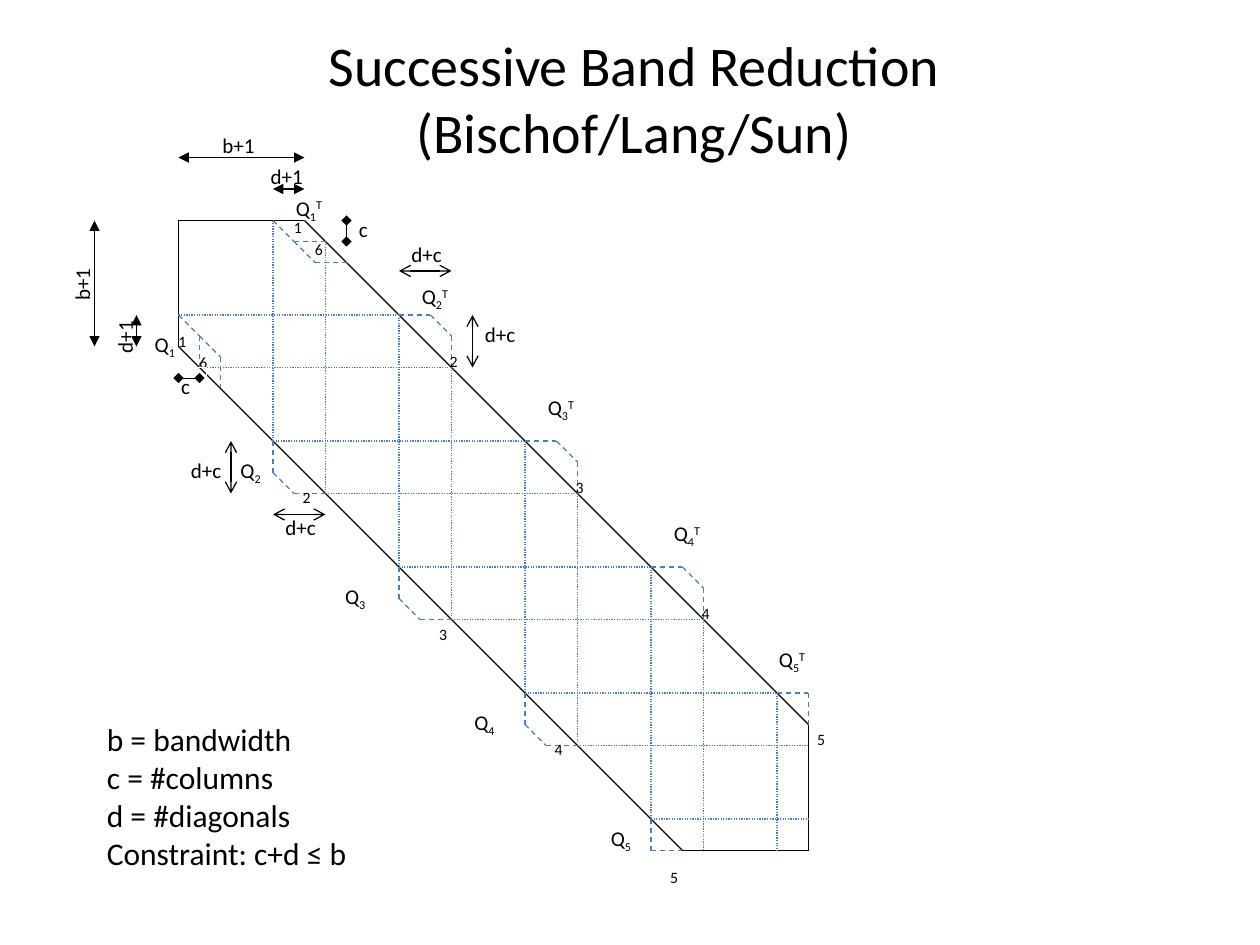
from lxml.etree import SubElement
from pptx import Presentation
from pptx.dml.color import RGBColor
from pptx.enum.dml import MSO_LINE
from pptx.enum.shapes import MSO_CONNECTOR
from pptx.enum.text import MSO_AUTO_SIZE, PP_ALIGN
from pptx.oxml.ns import qn
from pptx.util import Inches, Pt

BLACK = RGBColor(0x00, 0x00, 0x00)
WHITE = RGBColor(0xFF, 0xFF, 0xFF)
BLUE = RGBColor(0x4B, 0x7E, 0xBC)

# The grid has 12 cells to the inch; (0, 0) is the top left of the matrix
CELL = 1 / 12
LEFT, TOP = 17, 21
SIZE = 60            # matrix order
BAND = 12            # b + 1
DIAGS = 3            # d + 1
COLS = 2             # c
STEP = DIAGS + COLS  # d + c, in cells
KEEP = BAND - DIAGS

deck = Presentation()
deck.slide_width, deck.slide_height = Inches(10), Inches(7.5)
page = deck.slides.add_slide(deck.slide_layouts[6])


def draw_path(points, color=BLACK, dash=None, width=0.75, ends=None):
    """Join grid points with straight lines."""
    for (col, row), (next_col, next_row) in zip(points, points[1:]):
        line = page.shapes.add_connector(
            MSO_CONNECTOR.STRAIGHT,
            Inches((LEFT + col) * CELL), Inches((TOP + row) * CELL),
            Inches((LEFT + next_col) * CELL), Inches((TOP + next_row) * CELL))
        line.line.color.rgb = color
        line.line.width = Pt(width)
        if dash:
            line.line.dash_style = dash
        if ends:
            outline = line.line._get_or_add_ln()
            for tag in ("a:headEnd", "a:tailEnd"):
                SubElement(outline, qn(tag), type=ends)
        SubElement(line._element.spPr, qn("a:effectLst"))


def write(text, col, row, cols, rows=3.6, size=12, sub="", sup="",
          wrap=False, align=None, turn=0, border=None):
    """Put a text box on the grid, one paragraph for each line of text."""
    box = page.shapes.add_textbox(
        Inches((LEFT + col) * CELL), Inches((TOP + row) * CELL),
        Inches(cols * CELL), Inches(rows * CELL))
    box.rotation = turn
    if border:
        box.line.color.rgb = border
        box.line.width = Pt(0.75)
    frame = box.text_frame
    frame.word_wrap = wrap
    frame.auto_size = MSO_AUTO_SIZE.SHAPE_TO_FIT_TEXT
    for index, words in enumerate(text.split("\n")):
        para = frame.paragraphs[0] if index == 0 else frame.add_paragraph()
        para.alignment = align
        for part, baseline in ((words, None), (sub, "-25000"), (sup, "30000")):
            if not part:
                continue
            span = para.add_run()
            span.text = part
            span.font.name = "Calibri"
            span.font.size = Pt(size)
            span.font.color.rgb = BLACK
            if baseline:
                span._r.get_or_add_rPr().set("baseline", baseline)


# Outline of the band
draw_path([(0, 0), (BAND, 0), (SIZE, SIZE - BAND), (SIZE, SIZE),
           (SIZE - BAND, SIZE), (0, BAND), (0, 0)])

# Dotted edges of the blocks, as (position, start, end)
edges = []
for k in range(5):
    shift = BAND * k
    edges.append((shift + KEEP, max(0, shift - DIAGS), min(SIZE, shift + 21)))
    if k < 4:
        edges.append((shift + KEEP + STEP, shift + COLS, min(SIZE, shift + 26)))
for place, start, end in edges:
    draw_path([(start, place), (end, place)], BLUE, MSO_LINE.ROUND_DOT)
    draw_path([(place, start), (place, end)], BLUE, MSO_LINE.ROUND_DOT)

# Dashed bulges above the band, mirrored below it
bulges = [[(9, 0), (11, 2), (14, 2)], [(11, 2), (13, 4), (16, 4)],
          [(57, 45), (60, 45), (60, 48)]]
for k in range(1, 4):
    col, row = BAND * k + KEEP, BAND * k - DIAGS
    bulges.append([(col, row), (col + DIAGS, row),
                   (col + STEP, row + COLS), (col + STEP, row + STEP)])
for bulge in bulges:
    draw_path(bulge, BLUE, MSO_LINE.DASH)
    draw_path([(row, col) for col, row in bulge], BLUE, MSO_LINE.DASH)

# Step numbers
for text, col, row in (("1", 11, -0.84), ("1", 0, 10),
                       ("6", 2, 12), ("6", 13, 1.2)):
    write(text, col, row, 1, 3, size=9, wrap=True)
for k, (col, row) in enumerate(((11, 24.84), (24, 37.92),
                                (35, 48.84), (46, 61.08)), start=1):
    write(str(k + 1), col, row, 2, 3, size=9, wrap=True)
    write(str(k + 1), min(SIZE, BAND * k + 13), BAND * k - 0.12, 2, 3,
          size=9, wrap=True)

# Transformations: left factor, then transposed right factor
factors = (((-3.44, 10), (10, -3)), ((4.72, 22), (22, 5.4)),
           ((14.68, 34), (34, 16)), ((27, 46), (46, 28)),
           ((40, 57), (56, 40)))
for number, (lower, upper) in enumerate(factors, start=1):
    write("Q", *lower, 4.8, sub=str(number))
    write("Q", *upper, 5.64, sub=str(number), sup="T")

# Dimension labels
for text, col, row, turn in (("b+1", 3, -9, 0), ("b+1", -12.2, 4, 270),
                             ("d+1", 7.6, -6, 0), ("d+1", -8.12, 9, 270),
                             ("d+c", 21, 1.4, 0), ("d+c", 28, 9, 0),
                             ("d+c", 0, 22, 0), ("d+c", 9, 27.4, 0)):
    write(text, col, row, 6, turn=turn)
write("c", 16, -1, 3.6)
write("c", -0.92, 14, 3.6, border=WHITE)

# Dimension lines
for start, end, ends, width in (
        ((0, -6), (12, -6), "triangle", 0.75),
        ((-8, 0), (-8, 12), "triangle", 0.75),
        ((9, -3), (12, -3), "triangle", 0.75),
        ((-4, 12), (-4, 9), "triangle", 0.75),
        ((16, 0), (16, 2), "diamond", 0.25),
        ((2, 15), (0, 15), "diamond", 0.25),
        ((21, 4.8), (26, 4.8), "arrow", 0.75),
        ((28, 9), (28, 14), "arrow", 0.75),
        ((5, 21), (5, 26), "arrow", 0.75),
        ((9, 28), (14, 28), "arrow", 0.75)):
    draw_path([start, end], width=width, ends=ends)

# Legend and title
write("b = bandwidth\nc = #columns\nd = #diagonals\nConstraint: c+d ≤ b",
      -8, 47, 25.7, 15.7, size=18)
write("Successive Band Reduction (Bischof/Lang/Sun)",
      -7, -18.72, 100.8, 14, size=32, wrap=True, align=PP_ALIGN.CENTER)

deck.save("out.pptx")
